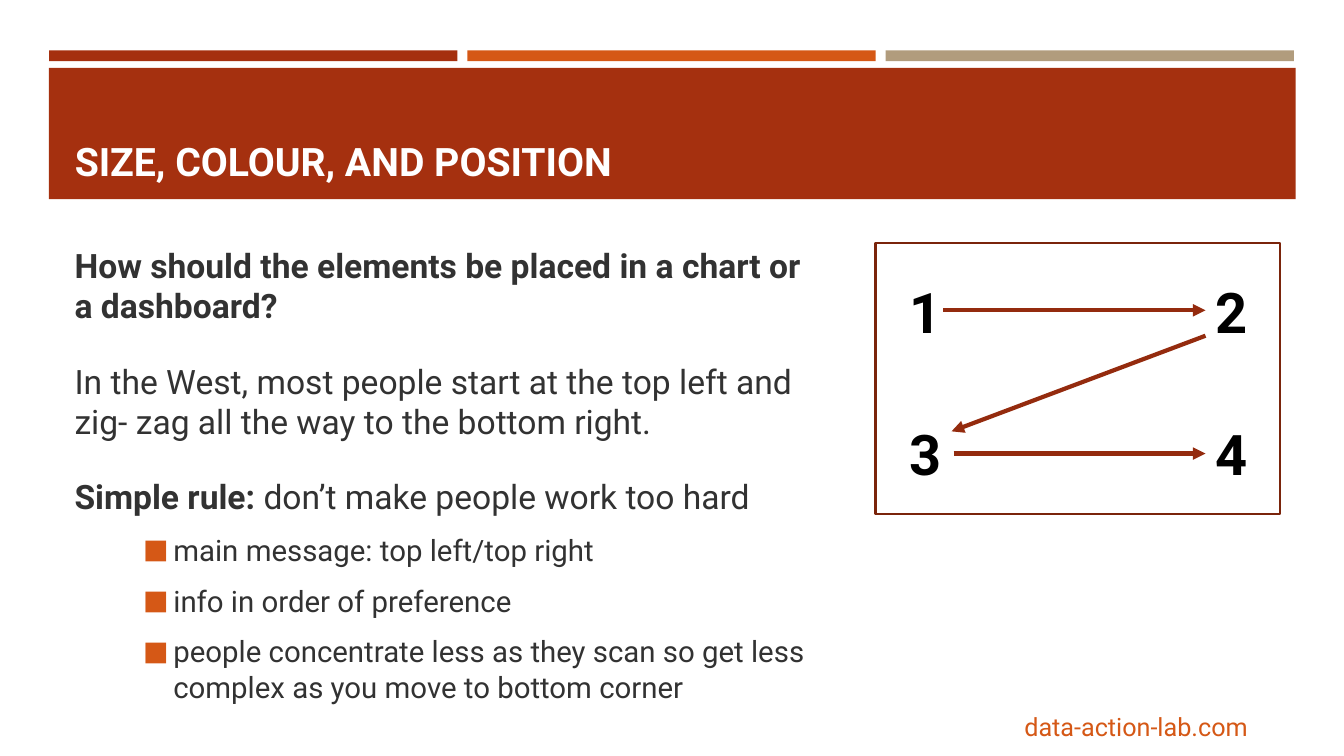
from dataclasses import dataclass

from lxml import etree
from pptx import Presentation
from pptx.dml.color import RGBColor
from pptx.enum import shapes, text
from pptx.oxml import ns
from pptx.util import Cm, Pt

FONT = "Roboto"
BRICK = RGBColor(0xA5, 0x30, 0x0F)
ORANGE = RGBColor(0xD5, 0x58, 0x16)
SAND = RGBColor(0xB1, 0x9C, 0x7D)
FRAME = RGBColor(0x7A, 0x24, 0x0B)
ARROW = RGBColor(0x94, 0x2B, 0x0E)
INK = RGBColor(0x32, 0x32, 0x32)
BLACK = RGBColor(0, 0, 0)
WHITE = RGBColor(0xFF, 0xFF, 0xFF)


@dataclass
class Statement:
    bold: str = ""
    plain: str = ""
    bullet: bool = False


@dataclass
class Stop:
    label: str
    left: float
    top: float


@dataclass
class Path:
    start: tuple[float, float]
    end: tuple[float, float]


STATEMENTS = [
    Statement(bold="How should the elements be placed in a chart or a dashboard?"),
    Statement(plain="In the West, most people start at the top left and "
                    "zig- zag all the way to the bottom right."),
    Statement(bold="Simple rule:", plain=" don’t make people work too hard"),
    Statement(plain="main message: top left/top right", bullet=True),
    Statement(plain="info in order of preference", bullet=True),
    Statement(plain="people concentrate less as they scan so get less complex "
                    "as you move to bottom corner", bullet=True),
]
STOPS = [
    Stop(str(2 * row + column + 1), 22.68 + 7.7 * column, 6.86 + 3.58 * row)
    for row in range(2) for column in range(2)
]
PATHS = [
    Path((23.77, 7.82), (30.38, 7.82)),
    Path((24.03, 11.43), (30.38, 11.43)),
    Path((30.38, 8.46), (23.98, 10.87)),
]


def add_panel(slide, left: float, top: float, width: float, height: float,
              fill: RGBColor, outline: RGBColor | None = None) -> None:
    panel = slide.shapes.add_shape(shapes.MSO_SHAPE.RECTANGLE,
                                   Cm(left), Cm(top), Cm(width), Cm(height))
    panel.shadow.inherit = False
    panel.fill.solid()
    panel.fill.fore_color.rgb = fill
    if outline is None:
        panel.line.fill.background()
    else:
        panel.line.color.rgb = outline
        panel.line.width = Pt(1.75)


def style_run(run, size: float, color: RGBColor, bold: bool = False) -> None:
    run.font.name = FONT
    run.font.size = Pt(size)
    run.font.color.rgb = color
    run.font.bold = bold


def add_label(slide, label: str, left: float, top: float, width: float, height: float,
              size: float, color: RGBColor, bold: bool = False):
    box = slide.shapes.add_textbox(Cm(left), Cm(top), Cm(width), Cm(height))
    paragraph = box.text_frame.paragraphs[0]
    paragraph.text = label
    style_run(paragraph.runs[0], size, color, bold)
    return box.text_frame


def add_bullet(paragraph) -> None:
    """Give the paragraph an orange square with a hanging indent."""
    properties = paragraph._p.get_or_add_pPr()
    properties.set("marL", str(Cm(2.49)))
    properties.set("indent", str(Cm(-0.76)))
    color = etree.SubElement(properties, ns.qn("a:buClr"))
    etree.SubElement(color, ns.qn("a:srgbClr"), val=str(ORANGE))
    etree.SubElement(properties, ns.qn("a:buSzPct"), val="92000")
    etree.SubElement(properties, ns.qn("a:buFont"), typeface=FONT)
    etree.SubElement(properties, ns.qn("a:buChar"), char="■")


def add_statements(slide) -> None:
    frame = slide.shapes.add_textbox(Cm(1.63), Cm(6.05), Cm(19.41), Cm(11.51)).text_frame
    frame.word_wrap = True
    for index, statement in enumerate(STATEMENTS):
        paragraph = frame.paragraphs[0] if index == 0 else frame.add_paragraph()
        if statement.bullet:
            add_bullet(paragraph)
        if index:
            paragraph.space_before = Pt(5 if statement.bullet else 19)
        paragraph.space_after = Pt(6)
        for words, bold in ((statement.bold, True), (statement.plain, False)):
            if words:
                run = paragraph.add_run()
                run.text = words
                style_run(run, 21 if statement.bullet else 24, INK, bold)


def add_arrow(slide, path: Path) -> None:
    arrow = slide.shapes.add_connector(
        shapes.MSO_CONNECTOR.STRAIGHT,
        *(Cm(value) for value in (*path.start, *path.end)))
    arrow.line.color.rgb = ARROW
    arrow.line.width = Pt(3)
    etree.SubElement(arrow.line._get_or_add_ln(), ns.qn("a:tailEnd"), type="triangle")
    etree.SubElement(arrow._element.spPr, ns.qn("a:effectLst"))


def format_title(slide) -> None:
    title = slide.shapes.title
    title.left, title.top, title.width, title.height = Cm(1.63), Cm(1.96), Cm(30.63), Cm(2.82)
    frame = title.text_frame
    frame.text = "SIZE, COLOUR, AND POSITION"
    frame.auto_size = text.MSO_AUTO_SIZE.NONE
    frame.vertical_anchor = text.MSO_ANCHOR.BOTTOM
    frame.paragraphs[0].alignment = text.PP_ALIGN.LEFT
    style_run(frame.paragraphs[0].runs[0], 28, WHITE, bold=True)


def main() -> None:
    deck = Presentation()
    deck.slide_width, deck.slide_height = Cm(33.87), Cm(19.05)
    slide = deck.slides.add_slide(deck.slide_layouts[5])

    for column, color in enumerate((BRICK, ORANGE, SAND)):
        add_panel(slide, 1.24 + 10.54 * column, 1.27, 10.29, 0.27, color)
    add_panel(slide, 1.23, 1.71, 31.42, 3.31, BRICK)
    title_element = slide.shapes.title._element
    slide.shapes._spTree.append(title_element)  # bring in front of the band
    format_title(slide)

    add_statements(slide)
    add_panel(slide, 22.07, 6.13, 10.19, 6.83, WHITE, FRAME)
    for stop in STOPS:
        add_label(slide, stop.label, stop.left, stop.top, 1.32, 1.96, 40, BLACK, bold=True)
    for path in PATHS:
        add_arrow(slide, path)

    site = add_label(slide, "data-action-lab.com", 25.1, 17.81, 6.6, 1.02, 18, ORANGE)
    site.word_wrap = True
    site.paragraphs[0].alignment = text.PP_ALIGN.RIGHT

    deck.save("out.pptx")


if __name__ == "__main__":
    main()
